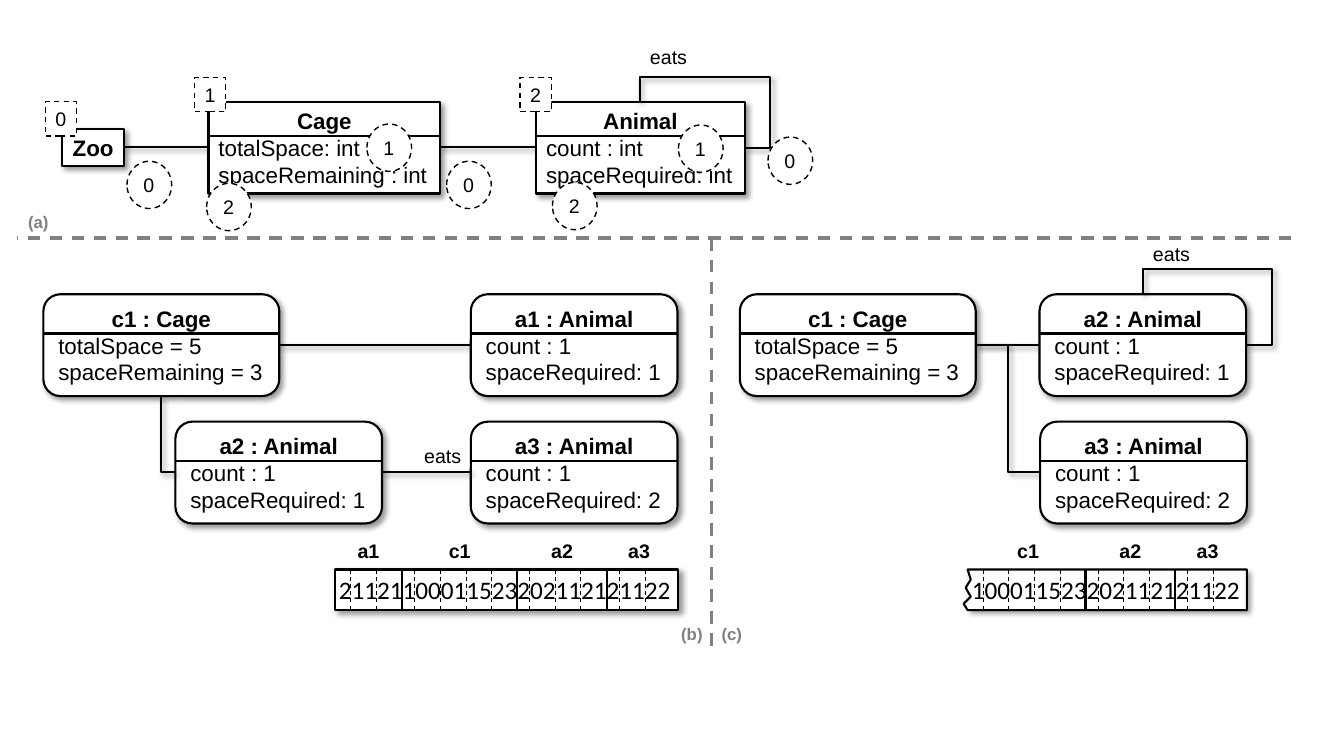
from itertools import accumulate
from lxml.etree import SubElement
from pptx import Presentation
from pptx.dml.color import RGBColor
from pptx.enum.dml import MSO_LINE
from pptx.enum.shapes import MSO_CONNECTOR, MSO_SHAPE
from pptx.enum.text import MSO_ANCHOR, MSO_AUTO_SIZE, PP_ALIGN
from pptx.oxml.ns import qn
from pptx.util import Pt

BLACK, WHITE, GRAY = "000000", "FFFFFF", "808080"
C1 = ("c1 : Cage", "totalSpace = 5", "spaceRemaining = 3")
A1 = ("a1 : Animal", "count : 1", "spaceRequired: 1")
A2 = ("a2 : Animal", "count : 1", "spaceRequired: 1")
A3 = ("a3 : Animal", "count : 1", "spaceRequired: 2")
CAGE_W, ANIMAL_W, OBJECT_H, CLASS_H = 168.5, 147.6, 72.7, 65.5
SEGMENTS = [("a1", 48.2, 11.5, 2), ("c1", 82.1, 9, 4),
            ("a2", 64.1, 9, 3), ("a3", 46.1, 9, 2)]
CELL_W, MEMORY_H, MEMORY_PAD = 18.3, 29, 5


def rgb(color):
    return RGBColor.from_string(color)


def pts(*values):
    return [Pt(v) for v in values]


def set_shadow(sp):
    effects = sp._element.spPr.find(qn("a:effectLst"))
    shadow = SubElement(effects, qn("a:outerShdw"), blurRad=str(Pt(4)), dist=str(Pt(3)),
                        dir="2700000", algn="tl", rotWithShape="0")
    color = SubElement(shadow, qn("a:srgbClr"), val=BLACK)
    SubElement(color, qn("a:alpha"), val="40000")


def set_line(sp, width, color=BLACK, dash=False):
    sp.line.color.rgb = rgb(color)
    sp.line.width = Pt(width)
    if dash:
        sp.line.dash_style = MSO_LINE.DASH


def add_text(sp, text, size=14, font="Arial", color=BLACK, bold=False,
             align=PP_ALIGN.LEFT, anchor=MSO_ANCHOR.TOP, inset=7.2):
    tf = sp.text_frame
    tf.word_wrap = False
    tf.auto_size = MSO_AUTO_SIZE.SHAPE_TO_FIT_TEXT
    tf.vertical_anchor = anchor
    tf.margin_left = tf.margin_right = Pt(inset)
    tf.margin_top = tf.margin_bottom = Pt(3.6)
    for i, line in enumerate(text.split("\n")):
        p = tf.paragraphs[0] if i == 0 else tf.add_paragraph()
        p.alignment = align if i == 0 else PP_ALIGN.LEFT
        r = p.add_run()
        r.text = line
        r.font.name, r.font.size = font, Pt(size)
        r.font.bold = bold and i == 0
        r.font.color.rgb = rgb(color)


def label(s, text, x, y, w, h=24.5, **fmt):
    add_text(s.shapes.add_textbox(*pts(x, y, w, h)), text, **fmt)


def shape(s, kind, x, y, w, h, width=1.5, dash=False, shadow=True):
    sp = s.shapes.add_shape(kind, *pts(x, y, w, h))
    sp.fill.solid()
    sp.fill.fore_color.rgb = rgb(WHITE)
    if width:
        set_line(sp, width, dash=dash)
    else:
        sp.line.fill.background()
    sp.shadow.inherit = False
    if shadow:
        set_shadow(sp)
    return sp


def connect(s, x1, y1, x2, y2, width=1.5, color=BLACK, dash=False, shadow=False,
            kind=MSO_CONNECTOR.STRAIGHT):
    c = s.shapes.add_connector(kind, *pts(x1, y1, x2, y2))
    set_line(c, width, color, dash)
    SubElement(c._element.spPr, qn("a:effectLst"))
    if shadow:
        set_shadow(c)
    return c


def elbow(s, x, y, w, h, preset, adjust=(), **xfrm):
    c = connect(s, x, y, x + w, y + h, shadow=True, kind=MSO_CONNECTOR.ELBOW)
    spPr = c._element.spPr
    for key, value in xfrm.items():
        spPr.find(qn("a:xfrm")).set(key, value)
    geom = spPr.find(qn("a:prstGeom"))
    geom.set("prst", preset)
    guides = geom.find(qn("a:avLst"))
    for i, value in enumerate(adjust, 1):
        SubElement(guides, qn("a:gd"), name=f"adj{i}", fmla=f"val {round(value * 100000)}")


def compartment(s, kind, lines, x, y, w, h, header):
    sp = shape(s, kind, x, y, w, h)
    add_text(sp, "\n".join(lines), size=16, bold=True,
             align=PP_ALIGN.CENTER, anchor=MSO_ANCHOR.MIDDLE)
    connect(s, x, y + header, x + w, y + header)


def class_box(s, lines, x, y, w):
    compartment(s, MSO_SHAPE.RECTANGLE, lines, x, y, w, CLASS_H, 24.5)


def object_box(s, lines, x, y, w=ANIMAL_W):
    compartment(s, MSO_SHAPE.ROUNDED_RECTANGLE, lines, x, y, w, OBJECT_H, 28)


def memory(s, digits, segments, right, y, w, torn=False):
    x, bottom = right - w, y + MEMORY_H
    sp = shape(s, MSO_SHAPE.RECTANGLE, x, y, w, MEMORY_H, width=0 if torn else 1.5)
    add_text(sp, digits, size=18, font="Calibri", inset=3)
    widths = [seg[1] for seg in segments]
    first = right - MEMORY_PAD - sum(widths)
    starts = accumulate(widths, initial=first)
    for i, (start, (name, seg_w, offset, count)) in enumerate(zip(starts, segments)):
        if i:
            connect(s, start, y, start, bottom)
        for k in range(count):
            cut = start + offset + k * CELL_W
            connect(s, cut, y, cut, bottom, width=0.75, dash=True)
        label(s, name, start + seg_w / 2 - 15.1, y - 25.2, 30.2,
              bold=True, align=PP_ALIGN.CENTER)
    if torn:
        edge = [(w, 0), (w, MEMORY_H), (0, MEMORY_H), (-2.9, 24.5),
                (2.2, 19.4), (-1.4, 13), (2.2, 7.2)]
        fb = s.shapes.build_freeform(Pt(x), Pt(y))
        fb.add_line_segments([pts(x + dx, y + dy) for dx, dy in edge])
        sp = fb.convert_to_shape()
        sp.fill.background()
        set_line(sp, 1.5)
        sp.shadow.inherit = False


def class_diagram(s, x, y):
    zoo = shape(s, MSO_SHAPE.RECTANGLE, x + 12.2, y + 64.2, 43.9, 26.4)
    add_text(zoo, "Zoo", size=16, bold=True, align=PP_ALIGN.CENTER, anchor=MSO_ANCHOR.MIDDLE)
    for x1, x2 in [(56.2, 116.6), (281.5, 350.6)]:
        connect(s, x + x1, y + 77.1, x + x2, y + 77.1, shadow=True)
    label(s, "eats", x + 424.8, y, 41, anchor=MSO_ANCHOR.MIDDLE)
    class_box(s, ("Cage", "totalSpace: int", "spaceRemaining : int"), x + 116.6, y + 44.7, 165.5)
    class_box(s, ("Animal", "count : int", "spaceRequired: int"), x + 350.6, y + 44.7, 149)
    elbow(s, x + 445.7, y + 23.8, 32.4, 74.9, "bentConnector4", (-0.55, 1.241),
          rot="16200000", flipH="1")
    squares = [("0", 0, 44.7), ("1", 106.6, 27.4), ("2", 339.1, 27.4)]
    circles = [("0", 58.3, 87.2), ("0", 286.6, 87.2), ("1", 229.7, 60.6), ("2", 115.2, 103),
               ("0", 516.2, 69.9), ("1", 452.2, 61.3), ("2", 362.2, 102.3)]
    for kind, w, h, marks in [(MSO_SHAPE.RECTANGLE, 22.3, 24.5, squares),
                              (MSO_SHAPE.OVAL, 31.9, 33.8, circles)]:
        for text, dx, dy in marks:
            add_text(shape(s, kind, x + dx, y + dy, w, h, 1, dash=True, shadow=False), text)


def full_objects(s, x, y):
    memory(s, "21121100011523202112121122", SEGMENTS, x + 453.6, y + 196.6, 245.5)
    connect(s, x + CAGE_W, y + 36.2, x + 305.3, y + 36.2, shadow=True)
    object_box(s, C1, x, y, CAGE_W)
    object_box(s, A1, x + 305.3, y)
    object_box(s, A2, x + 94.3, y + 91)
    elbow(s, x + 61.9, y + 94.4, 54.7, 10.1, "bentConnector2", rot="16200000", flipH="1")
    object_box(s, A3, x + 305.3, y + 91)
    connect(s, x + 241.9, y + 127, x + 305.3, y + 127, shadow=True)
    label(s, "eats", x + 264.9, y + 103, 41, anchor=MSO_ANCHOR.MIDDLE)


def reduced_objects(s, x, y):
    memory(s, "100011523202112121122", SEGMENTS[1:], x + 362.1, y + 196.6, 199.4, torn=True)
    connect(s, x + CAGE_W, y + 36.2, x + 214, y + 36.2, shadow=True)
    object_box(s, C1, x, y, CAGE_W)
    object_box(s, A2, x + 214, y)
    elbow(s, x + CAGE_W, y + 36.2, 46.1, 90.7, "bentConnector3", (0.5,))
    object_box(s, A3, x + 214.5, y + 91)
    elbow(s, x + 288, y, 74.2, 36, "bentConnector4", (-0.244, 1.497), flipH="1", flipV="1")
    label(s, "eats", x + 288, y - 41, 41, anchor=MSO_ANCHOR.MIDDLE)


def dividers(s, x, y):
    connect(s, x + 496, y, x + 496, y + 293.8, 2.25, GRAY, dash=True)
    connect(s, x + 910, y, x, y, 2.25, GRAY, dash=True)
    for text, dx, dy in [("(a)", 0.7, -22.3), ("(b)", 467.2, 272), ("(c)", 496, 272)]:
        label(s, text, x + dx, y + dy, 30, 21.6, size=12, color=GRAY, bold=True)


prs = Presentation()
prs.slide_width, prs.slide_height = pts(960, 540)
s = prs.slides.add_slide(prs.slide_layouts[6])
class_diagram(s, 32.4, 28)
full_objects(s, 31, 210.2)
reduced_objects(s, 528.5, 210.2)
dividers(s, 12.3, 170)
prs.save("out.pptx")
